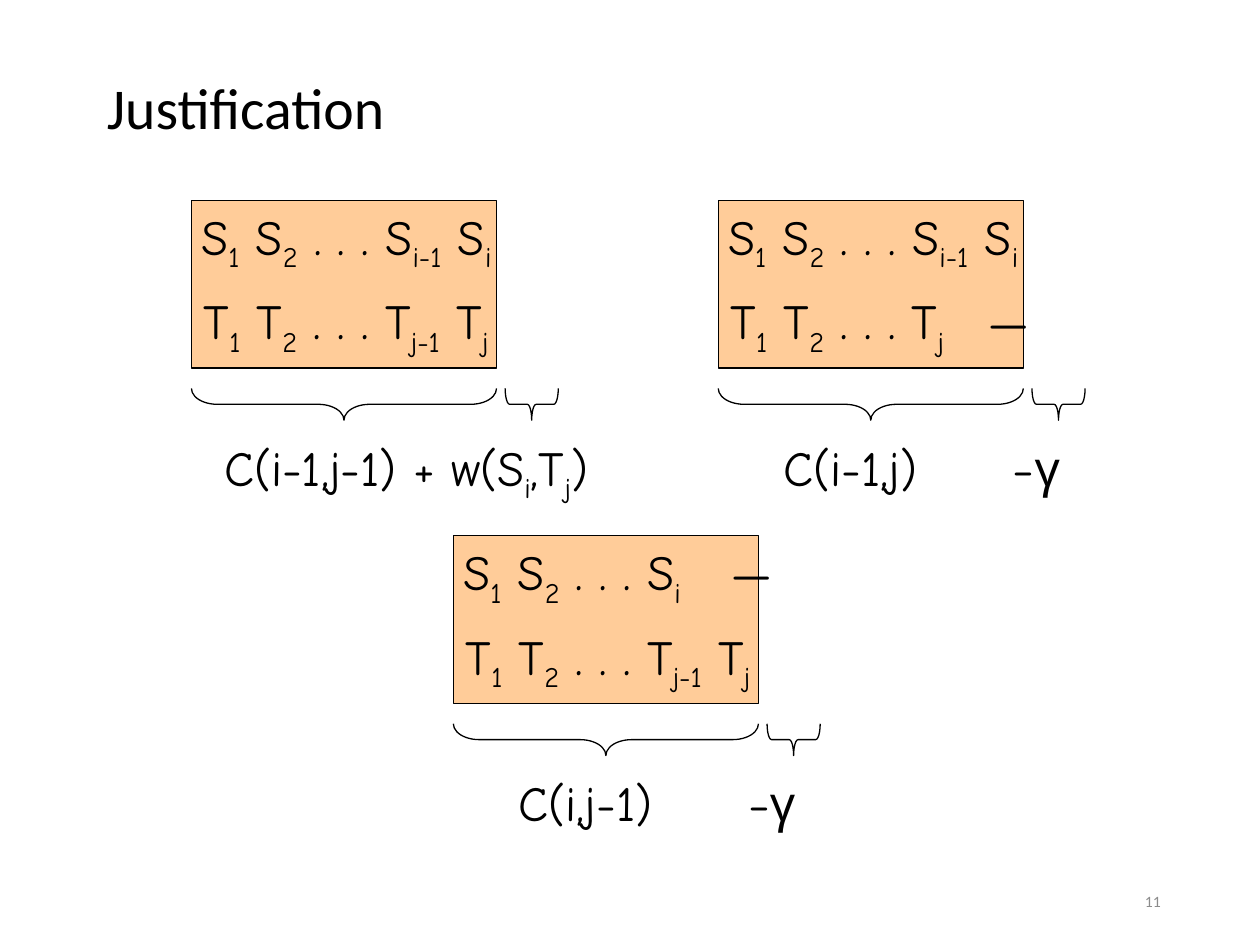
from lxml import etree
from pptx import Presentation
from pptx.dml.color import RGBColor
from pptx.enum import shapes, text
from pptx.oxml.ns import qn
from pptx.util import Cm, Pt

BLACK = RGBColor(0x00, 0x00, 0x00)
GREY = RGBColor(0x8C, 0x8C, 0x8C)
PEACH = RGBColor(0xFF, 0xCC, 0x99)
BOX_W, BOX_H = 6.15, 3.38
BRACE_H = 0.64

# Left, top, S row, T row, dash tab, caption, caption offset, caption width
PANELS = [
    (3.86, 4.04, "S_1_ S_2_ . . . S_i-1_ S_i", "T_1_ T_2_ . . . T_j-1_ T_j",
     None, "C(i-1,j-1) + w(S_i_,T_j_)", 0.41, 9.05),
    (14.48, 4.04, "S_1_ S_2_ . . . S_i-1_ S_i", "T_1_ T_2_ . . . T_j_\t—",
     5.2, "C(i-1,j)\t−γ", 1.07, 6.35),
    (9.14, 10.8, "S_1_ S_2_ . . . S_i_\t—", "T_1_ T_2_ . . . T_j-1_ T_j",
     5.4, "C(i,j-1)\t−γ", 1.07, 6.35),
]


def style(p, name, size, color):
    p.font.name = name
    p.font.size = Pt(size)
    p.font.color.rgb = color


def outline(sp):
    sp.shadow.inherit = False
    sp.line.color.rgb = BLACK
    sp.line.width = Pt(0.75)


def add_formula(s, x, y, w, markup, tab=None):
    """Text whose parts between underscores are subscripts."""
    tf = s.shapes.add_textbox(Cm(x), Cm(y), Cm(w), Cm(1.45)).text_frame
    tf.word_wrap = True
    p = tf.paragraphs[0]
    style(p, "Comic Neue", 28, BLACK)
    for i, part in enumerate(markup.split("_")):
        r = p.add_run()
        r.text = part
        if i % 2:
            r._r.get_or_add_rPr().set("baseline", "-25000")
    if "\t" in markup:
        pPr = p._p.get_or_add_pPr()
        tabs = etree.Element(qn("a:tabLst"))
        etree.SubElement(tabs, qn("a:tab"), pos=str(Cm(tab)), algn="l")
        pPr.insert(0, tabs)


def add_brace(s, cx, cy, width, curve):
    """Brace below a box: a left brace turned to point down."""
    sp = s.shapes.add_shape(shapes.MSO_SHAPE.LEFT_BRACE,
                            Cm(cx - BRACE_H / 2), Cm(cy - width / 2),
                            Cm(BRACE_H), Cm(width))
    sp.rotation = 270
    sp.adjustments[0] = curve
    sp.fill.background()
    outline(sp)


def add_panel(s, x, y, s_row, t_row, dash_tab, caption, caption_dx, caption_w):
    box = s.shapes.add_shape(shapes.MSO_SHAPE.RECTANGLE,
                             Cm(x), Cm(y), Cm(BOX_W), Cm(BOX_H))
    box.fill.solid()
    box.fill.fore_color.rgb = PEACH
    outline(box)
    add_formula(s, x - 0.05, y, 7.5, s_row, dash_tab)
    add_formula(s, x, y + 1.7, 7.5, t_row, dash_tab)
    # Braces and cost
    add_brace(s, x + BOX_W / 2, y + 4.11, BOX_W, 0.81)
    add_brace(s, x + 6.86, y + 4.11, 1.07, 0.14)
    add_formula(s, x + caption_dx, y + 4.65, caption_w, caption, 4.62)


def add_title(s, title):
    sp = s.shapes.title
    sp.left, sp.top, sp.width, sp.height = Cm(1.9), Cm(0.64), Cm(21.6), Cm(3.18)
    tf = sp.text_frame
    tf.text = title
    tf.vertical_anchor = text.MSO_ANCHOR.MIDDLE
    p = tf.paragraphs[0]
    p.alignment = text.PP_ALIGN.LEFT
    p.line_spacing = 0.9
    style(p, "Calibri", 33, BLACK)


def add_page_number(s, number):
    tf = s.shapes.add_textbox(Cm(17.93), Cm(17.65), Cm(5.72), Cm(1.02)).text_frame
    tf.word_wrap = True
    tf.vertical_anchor = text.MSO_ANCHOR.MIDDLE
    p = tf.paragraphs[0]
    p.text = number
    p.alignment = text.PP_ALIGN.RIGHT
    style(p, "Calibri", 9, GREY)


def main():
    prs = Presentation()
    prs.slide_width, prs.slide_height = Cm(25.4), Cm(19.05)
    s = prs.slides.add_slide(prs.slide_layouts[5])
    add_title(s, "Justification")
    for panel in PANELS:
        add_panel(s, *panel)
    add_page_number(s, "11")
    prs.save("out.pptx")


if __name__ == "__main__":
    main()
